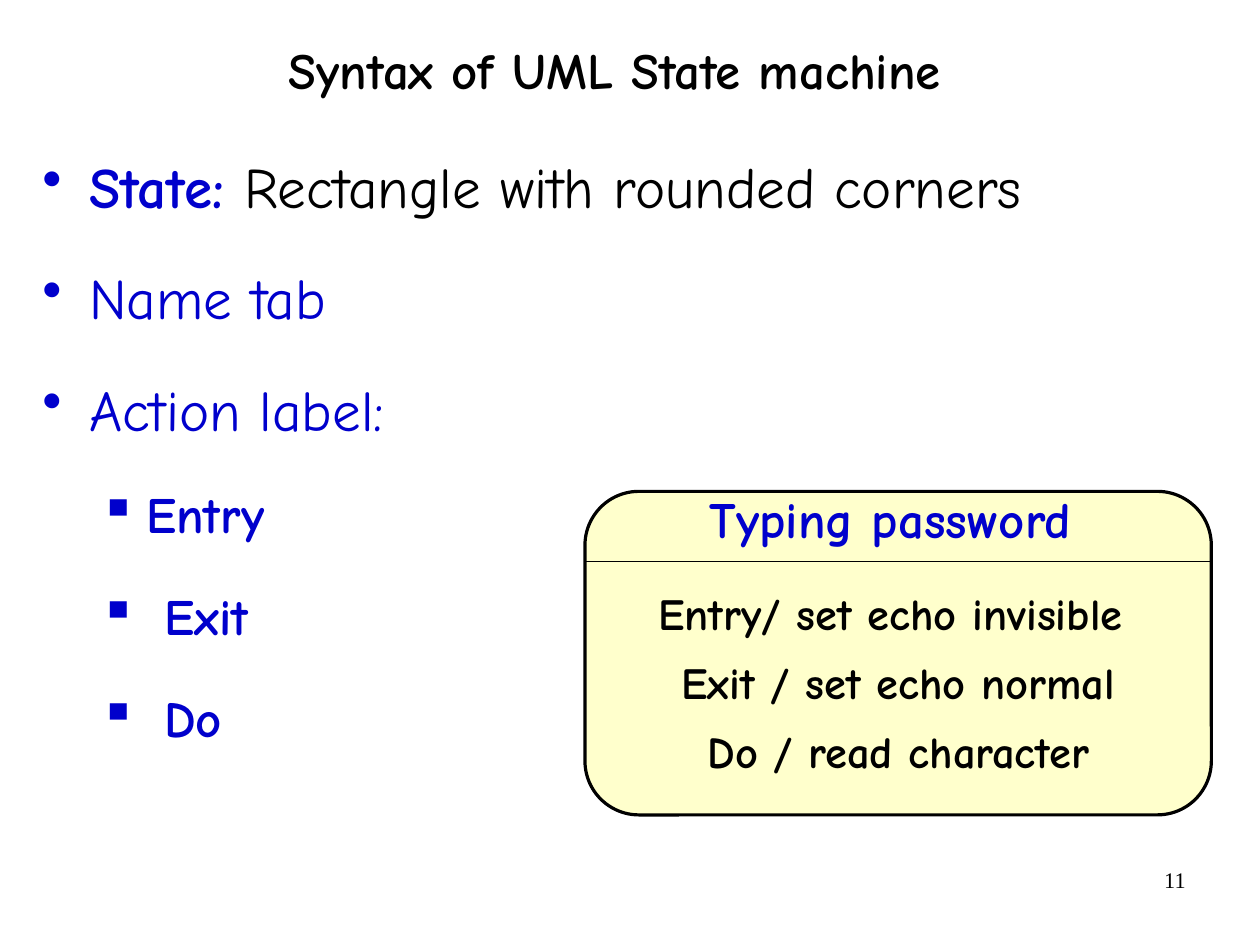
import pptx
import pptx.util
import pptx.dml.color
import pptx.enum.shapes
import pptx.enum.text
import pptx.oxml.ns
from lxml import etree

Cm = pptx.util.Cm
Pt = pptx.util.Pt
Align = pptx.enum.text.PP_ALIGN
Anchor = pptx.enum.text.MSO_ANCHOR
qn = pptx.oxml.ns.qn

HUES = {"ink": "000000", "blue": "0000CC", "cream": "FFFFCC"}
COMIC = "Comic Neue"
TIMES = "Times New Roman"

POINTS = [
    ("•", [("State: ", "blue", True),
           ("Rectangle with rounded corners", "ink", False)]),
    ("•", [("Name tab", "blue", False)]),
    ("•", [("Action label:", "blue", False)]),
    ("▪", [("Entry", "blue", True)]),
    ("▪", [(" Exit", "blue", True)]),
    ("▪", [(" Do", "blue", True)]),
]
LEVELS = {
    "•": {"level": 0, "size": 36, "left": 1.04},
    "▪": {"level": 1, "size": 32, "left": 2.31},
}
ACTIONS = ["Entry/ set echo invisible ", "Exit / set echo normal",
           "Do / read character"]


def color(hue):
    return pptx.dml.color.RGBColor.from_string(HUES[hue])


def apply(item, looks):
    for name, value in looks.items():
        setattr(item, name, value)


def frame(shape, sides, anchor=Anchor.TOP):
    left, top, right, base = map(Cm, sides)
    text = shape.text_frame
    apply(text, {
        "word_wrap": True, "auto_size": pptx.enum.text.MSO_AUTO_SIZE.NONE,
        "vertical_anchor": anchor, "margin_left": left, "margin_top": top,
        "margin_right": right, "margin_bottom": base,
    })
    return text


def start(text, index):
    return text.add_paragraph() if index else text.paragraphs[0]


def write(para, words, size, hue="ink", bold=True, face=COMIC):
    run = para.add_run()
    run.text = words
    apply(run.font, {"name": face, "size": Pt(size), "bold": bold})
    run.font.color.rgb = color(hue)


def bullet(para, mark, left):
    props = para._p.get_or_add_pPr()
    props.set("marL", str(Cm(left)))
    props.set("indent", str(Cm(-1.04)))
    tint = etree.SubElement(props, qn("a:buClr"))
    etree.SubElement(tint, qn("a:srgbClr"), val=HUES["blue"])
    etree.SubElement(props, qn("a:buChar"), char=mark)


def label(slide, place, sides, anchor, words, align, **looks):
    box = slide.shapes.add_textbox(*map(Cm, place))
    para = frame(box, sides, anchor).paragraphs[0]
    para.alignment = align
    write(para, words, **looks)


def title(slide, words):
    shape = slide.shapes.title
    apply(shape, {"left": Cm(1.73), "top": Cm(-0.1),
                  "width": Cm(23.88), "height": Cm(3.48)})
    para = frame(shape, (0, 0, 0, 0), Anchor.MIDDLE).paragraphs[0]
    apply(para, {"alignment": Align.CENTER, "line_spacing": 0.88})
    write(para, words, 32)


def points(slide):
    box = slide.shapes.add_textbox(Cm(0.66), Cm(2.84), Cm(27.34), Cm(16.51))
    text = frame(box, (0.28, 0.15, 0.28, 0.15))
    for index, (mark, runs) in enumerate(POINTS):
        rank = LEVELS[mark]
        para = start(text, index)
        bullet(para, mark, rank["left"])
        apply(para, {"level": rank["level"], "line_spacing": 1.25,
                     "space_before": Pt(6 if index else 0),
                     "space_after": Pt(10)})
        for words, hue, bold in runs:
            write(para, words, rank["size"], hue, bold)


def state(slide):
    kind = pptx.enum.shapes.MSO_SHAPE.ROUNDED_RECTANGLE
    box = slide.shapes.add_shape(kind, Cm(13), Cm(10.92), Cm(13.92), Cm(7.19))
    box.shadow.inherit = False
    box.fill.solid()
    box.fill.fore_color.rgb = color("cream")
    box.line.color.rgb = color("ink")
    box.line.width = Pt(2)
    text = frame(box, (0.28, 1.07, 0.28, 0.15), Anchor.MIDDLE)
    for index, words in enumerate(ACTIONS):
        para = start(text, index)
        apply(para, {"alignment": Align.CENTER, "line_spacing": 1.3})
        write(para, words, 28)


def rule(slide, left, right, top):
    kind = pptx.enum.shapes.MSO_CONNECTOR.STRAIGHT
    line = slide.shapes.add_connector(kind, Cm(left), Cm(top), Cm(right), Cm(top))
    line.line.color.rgb = color("ink")
    line.line.width = Pt(0.75)
    etree.SubElement(line._element.spPr, qn("a:effectLst"))


def main():
    deck = pptx.Presentation()
    apply(deck, {"slide_width": Cm(28), "slide_height": Cm(21)})
    slide = deck.slides.add_slide(deck.slide_layouts[5])
    label(slide, (20.07, 19.13, 6.53, 1.45), (0.25, 0.13, 0.25, 0.13),
          Anchor.TOP, "11", Align.RIGHT, size=14, bold=False, face=TIMES)
    title(slide, "Syntax of UML State machine")
    points(slide)
    state(slide)
    label(slide, (15.49, 10.72, 9.6, 1.6), (0.28, 0.15, 0.28, 0.15),
          Anchor.MIDDLE, "Typing password", Align.LEFT, size=32, hue="blue")
    rule(slide, 13, 26.92, 12.47)
    deck.save("out.pptx")


if __name__ == "__main__":
    main()
